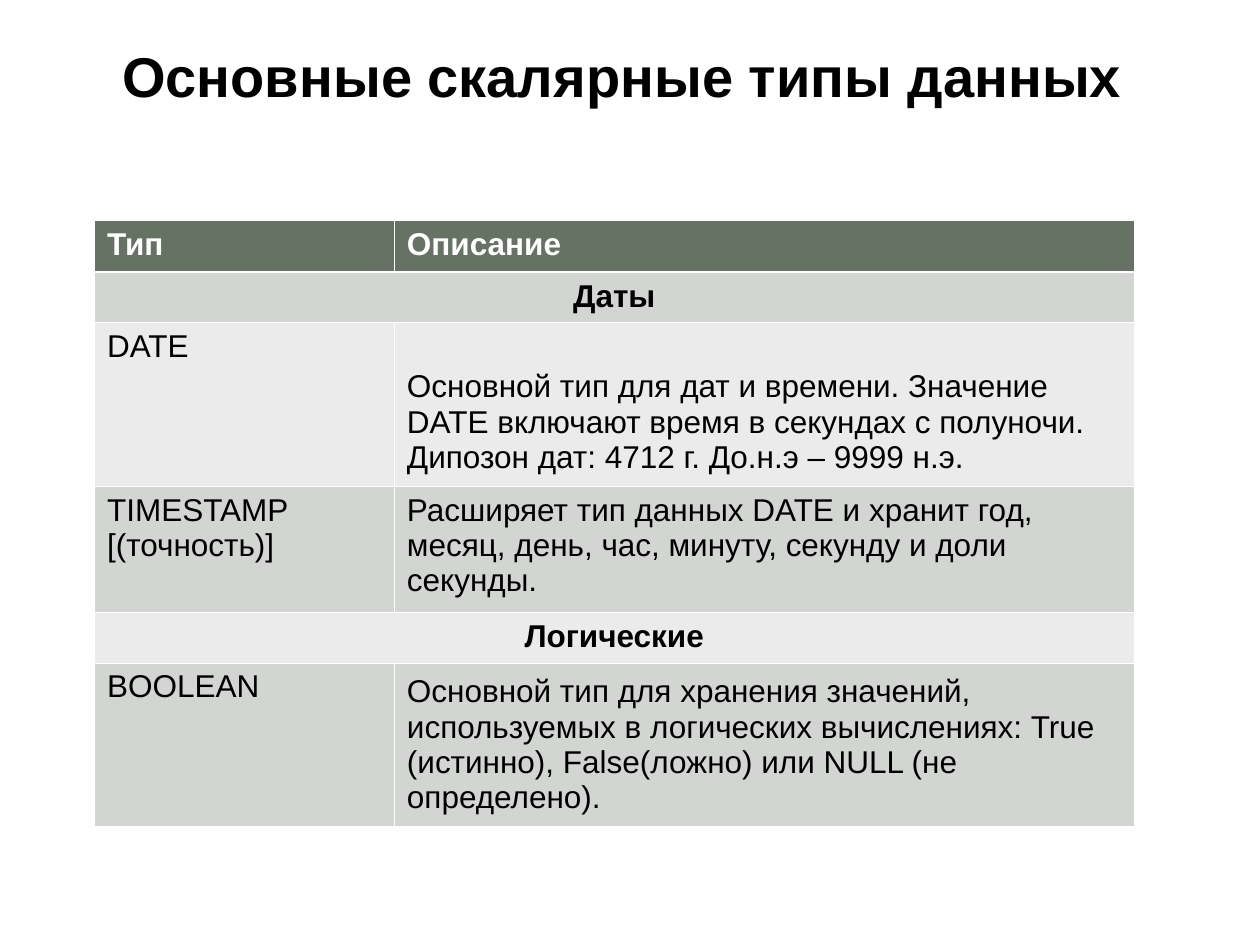
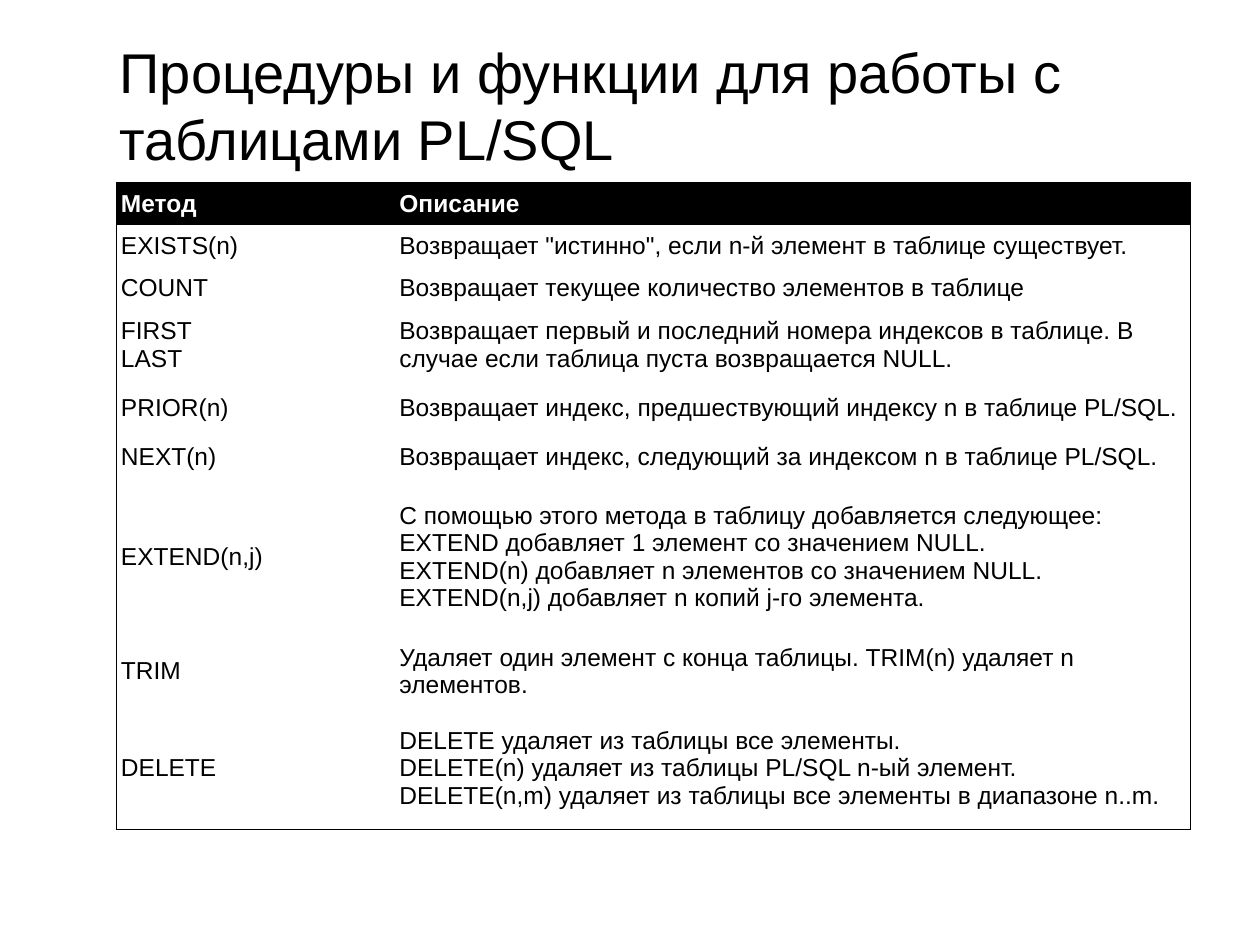
from lxml.etree import SubElement
from pptx import Presentation
from pptx.dml.color import RGBColor
from pptx.enum.text import MSO_ANCHOR, PP_ALIGN
from pptx.oxml.ns import qn
from pptx.util import Inches, Pt

BLACK = RGBColor(0x00, 0x00, 0x00)
WHITE = RGBColor(0xFF, 0xFF, 0xFF)
GREEN = RGBColor(0x66, 0x72, 0x63)
BANDS = RGBColor(0xEA, 0xEB, 0xEA), RGBColor(0xD3, 0xD5, 0xD3)
FONT = "Arial"

TYPES = [
    ("Тип", "Описание"),
    ("Даты", None),
    ("DATE", "Основной тип для дат и времени. Значение DATE включают время "
             "в секундах с полуночи. Дипозон дат: 4712 г. До.н.э – 9999 н.э."),
    ("TIMESTAMP [(точность)]",
     "Расширяет тип данных DATE и хранит год, месяц, день, час, минуту, "
     "секунду и доли секунды."),
    ("Логические", None),
    ("BOOLEAN",
     "Основной тип для хранения значений, используемых в логических "
     "вычислениях: True (истинно), False(ложно) или NULL (не определено)."),
]
METHODS = [
    ("Метод", "Описание"),
    ("EXISTS(n)",
     'Возвращает "истинно", если n-й элемент в таблице существует.'),
    ("COUNT", "Возвращает текущее количество элементов в таблице"),
    ("FIRST\nLAST",
     "Возвращает первый и последний номера индексов в таблице. "
     "В случае если таблица пуста возвращается NULL."),
    ("PRIOR(n)",
     "Возвращает индекс, предшествующий индексу n в таблице PL/SQL."),
    ("NEXT(n)", "Возвращает индекс, следующий за индексом n в таблице PL/SQL."),
    ("EXTEND(n,j)",
     "С помощью этого метода в таблицу добавляется следующее:\n"
     "EXTEND добавляет 1 элемент со значением NULL.\n"
     "EXTEND(n) добавляет n элементов со значением NULL.\n"
     "EXTEND(n,j) добавляет n копий j-го элемента."),
    ("TRIM",
     "Удаляет один элемент с конца таблицы. TRIM(n) удаляет n элементов."),
    ("DELETE",
     "DELETE удаляет из таблицы все элементы.\n"
     "DELETE(n) удаляет из таблицы PL/SQL n-ый элемент.\n"
     "DELETE(n,m) удаляет из таблицы все элементы в диапазоне n..m."),
]


def write(frame, text, size=18, color=BLACK, bold=False, align=PP_ALIGN.LEFT):
    """Fill a text frame, one paragraph per line of text."""
    frame.word_wrap = True
    frame.text = text
    for para in frame.paragraphs:
        para.alignment = align
        for run in para.runs:
            font = run.font
            font.name, font.size, font.bold = FONT, Pt(size), bold
            font.color.rgb = color


def add_title(slide, left, top, text, bold=False):
    """Place the slide title in a box without insets."""
    box = slide.shapes.add_textbox(
        Inches(left), Inches(top), Inches(8.29), Inches(1.03))
    frame = box.text_frame
    frame.margin_left = frame.margin_right = 0
    frame.margin_top = frame.margin_bottom = 0
    write(frame, text, size=32, bold=bold)


def add_grid(slide, left, top, cols, rows):
    """Add an unstyled table with the given column widths and row heights."""
    table = slide.shapes.add_table(
        len(rows), len(cols), Inches(left), Inches(top),
        Inches(sum(cols)), Inches(sum(rows))).table
    table.first_row = table.horz_banding = False
    for col, width in zip(table.columns, cols):
        col.width = Inches(width)
    for row, height in zip(table.rows, rows):
        row.height = Inches(height)
    return table


def set_edges(cell, color, **widths):
    """Draw the cell sides named L, R, T, B; a width of zero hides a side."""
    props = cell._tc.get_or_add_tcPr()
    for side in "LRTB":
        width = widths.get(side, 0)
        line = SubElement(props, qn(f"a:ln{side}"), w=str(int(Pt(width))))
        if width:
            fill = SubElement(line, qn("a:solidFill"))
            SubElement(fill, qn("a:srgbClr"), val=str(color))
        else:
            SubElement(line, qn("a:noFill"))


def set_fill(cell, color):
    """Fill a cell with a colour, or leave it clear."""
    if color is None:
        cell.fill.background()
    else:
        cell.fill.solid()
        cell.fill.fore_color.rgb = color


def draw_types(slide, left, top):
    """Build the banded table of data types with merged group rows."""
    thin, thick = 0.45, 1.47
    table = add_grid(slide, left, top, [2.38, 5.87],
                     [0.41, 0.4, 1.3, 1, 0.4, 1.3])
    for i, texts in enumerate(TYPES):
        head, group = i == 0, texts[1] is None
        for j, text in enumerate(texts):
            cell = table.cell(i, j)
            set_edges(cell, WHITE, L=thin, R=thin,
                      T=thick if i == 1 else thin, B=thick if head else thin)
            set_fill(cell, GREEN if head else BANDS[i % 2])
            if text:
                write(cell.text_frame, text, color=WHITE if head else BLACK,
                      bold=head or group,
                      align=PP_ALIGN.CENTER if group else PP_ALIGN.LEFT)
        if group:
            table.cell(i, 0).merge(table.cell(i, 1))
    for i in (2, 5):
        table.cell(i, 1).vertical_anchor = MSO_ANCHOR.MIDDLE
    table.cell(2, 1).margin_top = Inches(0.33)


def draw_methods(slide, left, top):
    """Build the framed table of methods under a black header."""
    thin = 0.34
    table = add_grid(slide, left, top, [2.21, 6.32],
                     [0.28, 0.31, 0.31, 0.57, 0.44, 0.31, 1.25, 0.51, 0.97])
    last = len(METHODS) - 1
    for i, texts in enumerate(METHODS):
        head = i == 0
        for j, text in enumerate(texts):
            cell = table.cell(i, j)
            set_edges(cell, BLACK, L=thin * (j == 0), R=thin * (j == 1),
                      T=thin * head, B=thin * (i == last))
            set_fill(cell, BLACK if head else None)
            cell.vertical_anchor = MSO_ANCHOR.MIDDLE
            cell.margin_left = cell.margin_right = Inches(0.04)
            write(cell.text_frame, text, size=14, bold=head,
                  color=WHITE if head else BLACK)


def main():
    """Build both slides and save the deck."""
    deck = Presentation()
    deck.slide_width, deck.slide_height = Inches(10), Inches(7.5)
    blank = deck.slide_layouts[6]

    slide = deck.slides.add_slide(blank)
    add_title(slide, 0.97, 0.33, "Основные скалярные типы данных", bold=True)
    draw_types(slide, 0.75, 1.75)

    slide = deck.slides.add_slide(blank)
    add_title(slide, 0.95, 0.3,
              "Процедуры и функции для работы с таблицами PL/SQL")
    draw_methods(slide, 0.92, 1.45)
    deck.save("out.pptx")


if __name__ == "__main__":
    main()
